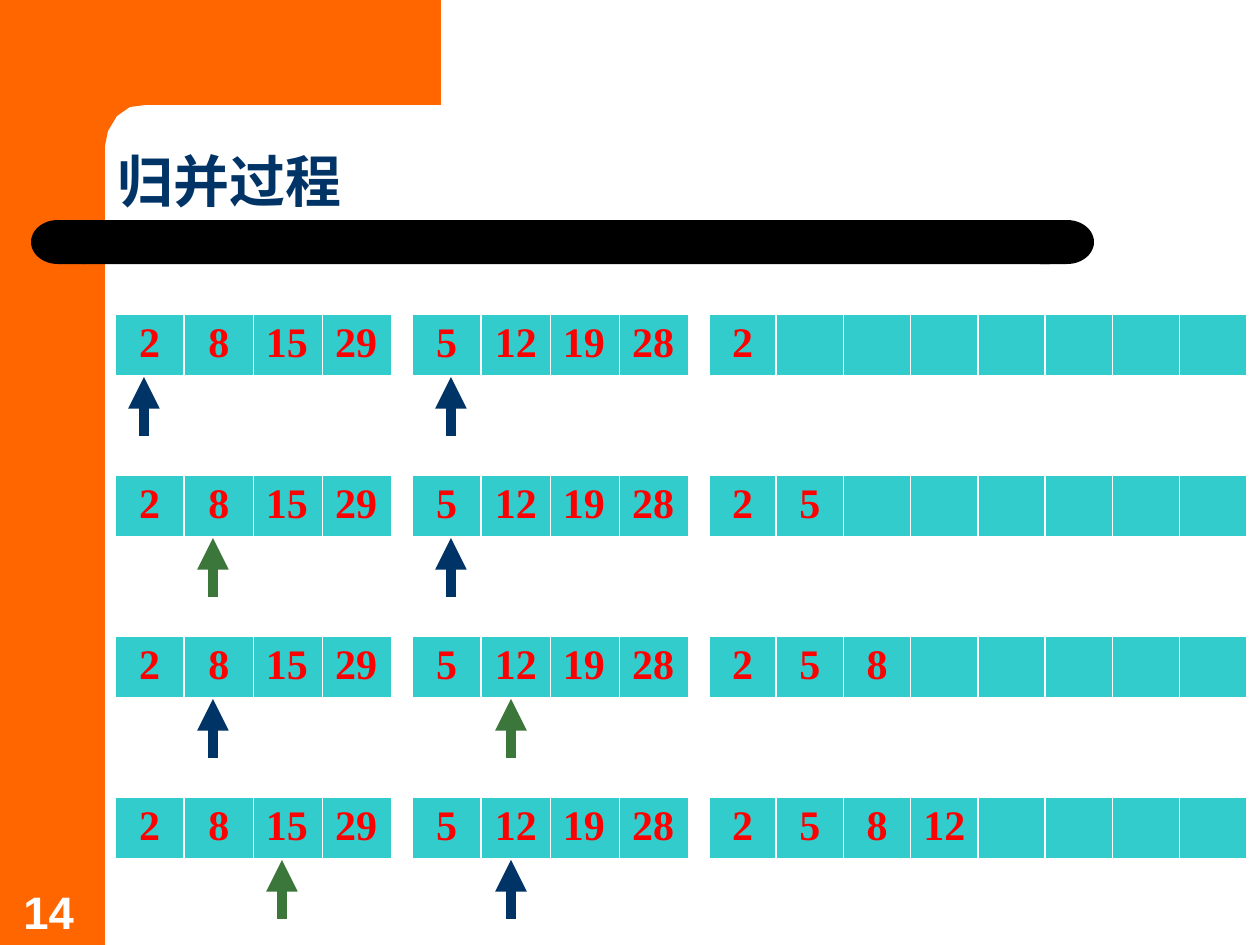
"""Build the slide that walks through merging two sorted lists."""
from lxml import etree
from pptx import Presentation
from pptx import util as u
from pptx.dml.color import RGBColor
from pptx.enum import shapes, text
from pptx.oxml.ns import qn

TITLE, NUMBER = "归并过程", "14"
LEFT, RIGHT = [2, 8, 15, 29], [5, 12, 19, 28]
MERGED, SLOTS = [2, 5, 8, 12], 8
ORANGE, BLACK, WHITE = "FF6600", "000000", "FFFFFF"
NAVY, GREEN, TEAL, RED = "003366", "3B773B", "33CCCC", "FF0000"
STEPS = [  # (left index, colour), (right index, colour)
    ((0, NAVY), (0, NAVY)),
    ((1, GREEN), (0, NAVY)),
    ((1, NAVY), (1, GREEN)),
    ((2, GREEN), (1, NAVY)),
]
BARS = [
    ("ROUNDED_RECTANGLE", 84, 966, False),
    ("FLOWCHART_DELAY", 31, 54, True),
    ("FLOWCHART_DELAY", 1040, 54, False),
]
CORNER = [(441, 0), (441, 105), (146, 105), (130, 107), (117, 116), (108, 131),
          (105, 146), (105, 161), (63, 161), (63, 0)]
FIRST_TOP, PITCH = 314, 161
BORDERS = {"a:lnL": 1, "a:lnR": 1, "a:lnT": 1, "a:lnB": 3}


def px(length):
    return round(length * 914400 / 126)


def colour(value):
    return RGBColor.from_string(value)


def paint(shape, value):
    shape.shadow.inherit = False
    shape.fill.solid()
    shape.fill.fore_color.rgb = colour(value)
    shape.line.fill.background()


def style(para, font, size, value):
    for span in para.runs:
        span.font.name, span.font.size, span.font.bold = font, u.Pt(size), True
        span.font.color.rgb = colour(value)


def add_preset(page, kind, x, y, w, h, value):
    preset = getattr(shapes.MSO_SHAPE, kind)
    shape = page.shapes.add_shape(preset, px(x), px(y), px(w), px(h))
    paint(shape, value)
    return shape


def add_label(page, words, x, y, w, h, font, size, value):
    box = page.shapes.add_textbox(px(x), px(y), px(w), px(h))
    frame = box.text_frame
    frame.text, frame.word_wrap = words, True
    frame.vertical_anchor = text.MSO_ANCHOR.BOTTOM
    para = frame.paragraphs[0]
    style(para, font, size, value)
    return para


def add_borders(cell):
    properties = cell._tc.get_or_add_tcPr()
    for place, (tag, width) in enumerate(BORDERS.items()):
        line = etree.Element(qn(tag), w=str(u.Pt(width)))
        fill = etree.SubElement(line, qn("a:solidFill"))
        etree.SubElement(fill, qn("a:srgbClr"), val=WHITE)
        properties.insert(place, line)


def add_list(page, values, slots, x, y, width, height):
    frame = page.shapes.add_table(1, slots, px(x), px(y), px(width), px(height))
    for index, column in enumerate(frame.table.columns):
        column.width = px(width / slots)
        cell = frame.table.cell(0, index)
        cell.fill.solid()
        cell.fill.fore_color.rgb = colour(TEAL)
        add_borders(cell)
        if index < len(values):
            cell.text = str(values[index])
            para = cell.text_frame.paragraphs[0]
            if values[index] < 10 or index < 2 or slots == SLOTS:
                para.alignment = text.PP_ALIGN.CENTER
            style(para, "Times New Roman", 24, RED)


def add_pointer(page, x, top, value):
    arrow = page.shapes.add_connector(
        shapes.MSO_CONNECTOR.STRAIGHT, px(x), px(top + 122), px(x), px(top + 63))
    arrow.line.color.rgb, arrow.line.width = colour(value), u.Pt(6)
    etree.SubElement(arrow.line._get_or_add_ln(), qn("a:tailEnd"), type="triangle")
    etree.SubElement(arrow._element.spPr, qn("a:effectLst"))


def main():
    deck = Presentation()
    deck.slide_width, deck.slide_height = px(1260), px(945)
    page = deck.slides.add_slide(deck.slide_layouts[6])

    add_preset(page, "RECTANGLE", 0, 0, 105, 945, ORANGE)
    builder = page.shapes.build_freeform(*CORNER[0], scale=px(1))
    builder.add_line_segments(CORNER[1:], close=True)
    paint(builder.convert_to_shape(), ORANGE)
    for kind, x, width, flipped in BARS:
        bar = add_preset(page, kind, x, 220, width, 44, BLACK)
        if flipped:
            bar._element.spPr.xfrm.set("flipH", "1")
        if kind == "ROUNDED_RECTANGLE":
            bar.adjustments[0] = 0

    title = add_label(page, TITLE, 105, 105, 1100, 116, "Times New Roman", 32, NAVY)
    title.line_spacing = 0.9

    for step, (left, right) in enumerate(STEPS):
        top = FIRST_TOP + PITCH * step
        add_list(page, LEFT, len(LEFT), 115, top, 277, 52)
        add_list(page, RIGHT, len(RIGHT), 412, top, 277, 52)
        add_list(page, MERGED[:step + 1], SLOTS, 709, top, 538, 63)
        add_pointer(page, 144 + 69 * left[0], top, left[1])
        add_pointer(page, 451 + 60 * right[0], top, right[1])

    add_label(page, NUMBER, 11, 878, 81, 67, "Arial", 26, WHITE)
    deck.save("out.pptx")


if __name__ == "__main__":
    main()
